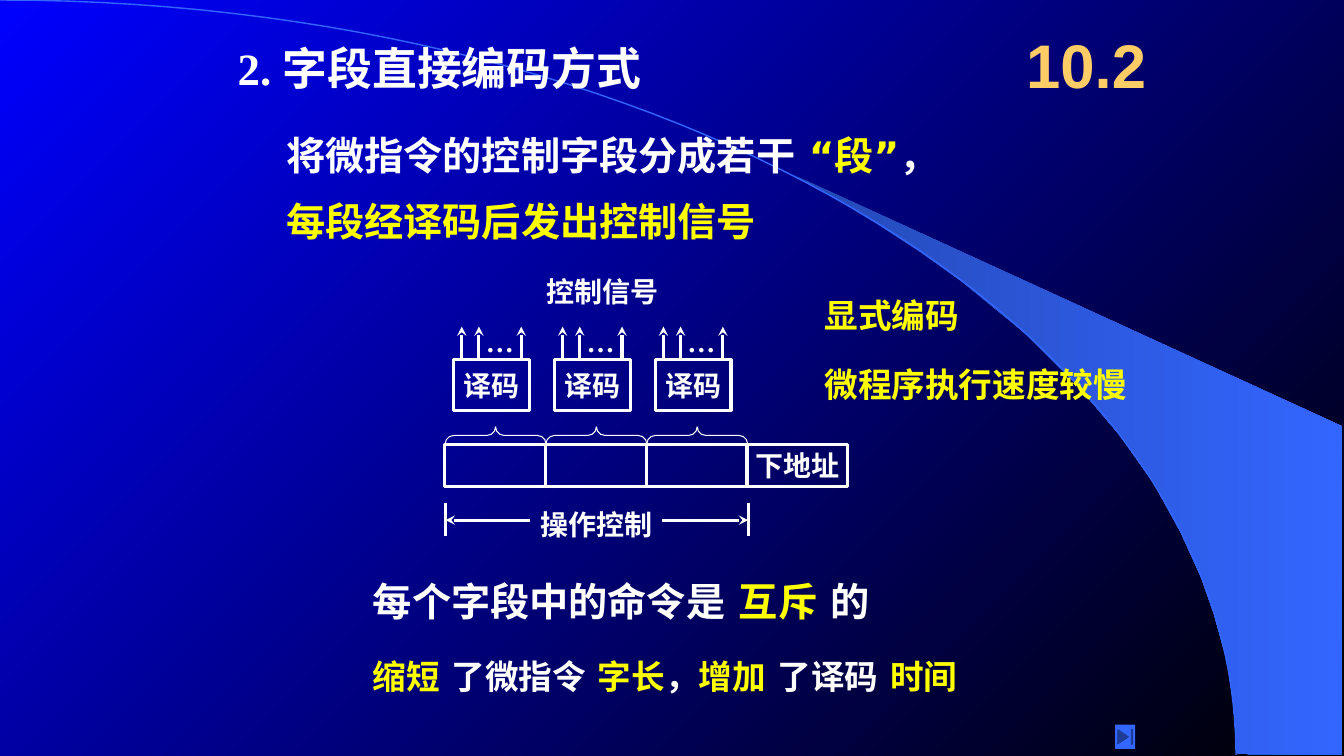
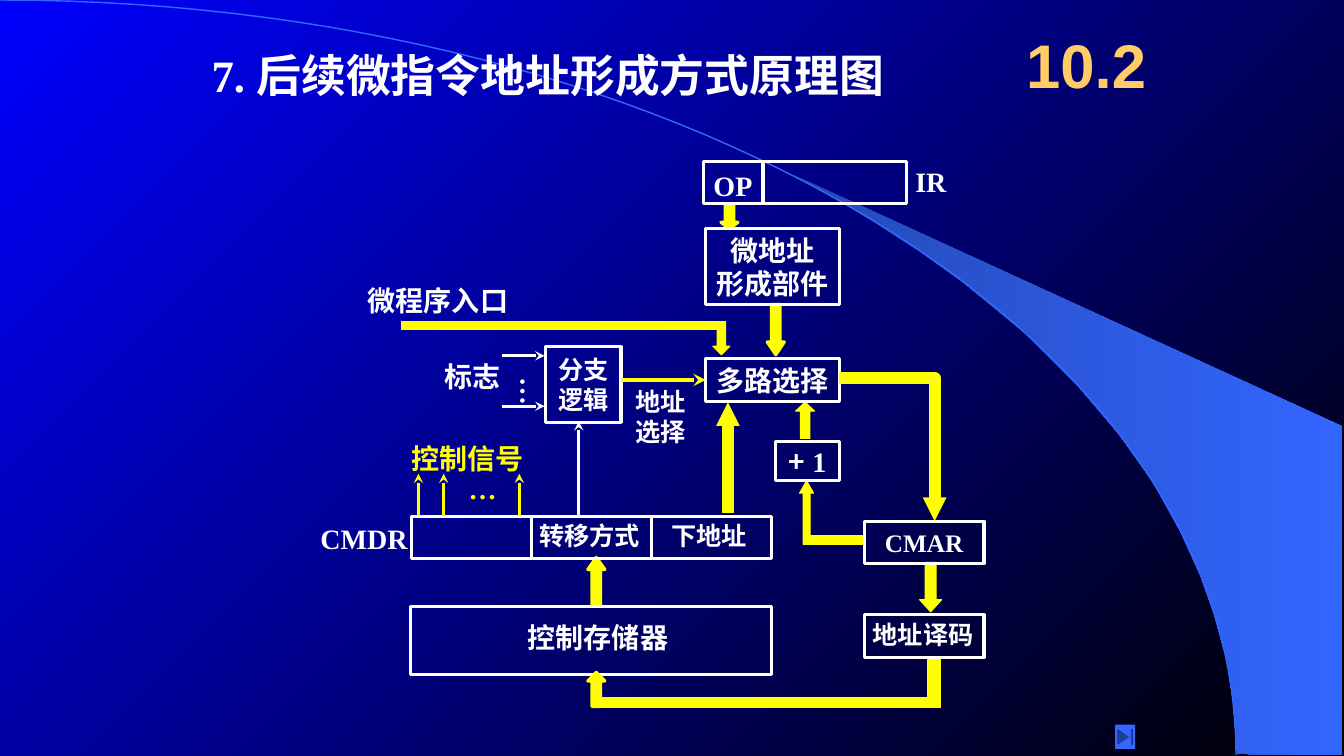
from lxml import etree
from pptx import Presentation
from pptx.dml.color import RGBColor
from pptx.enum.shapes import MSO_CONNECTOR, MSO_SHAPE
from pptx.enum.text import MSO_ANCHOR, PP_ALIGN
from pptx.oxml.ns import qn
from pptx.util import Inches, Pt

RECT = MSO_SHAPE.RECTANGLE
UP = MSO_SHAPE.UP_ARROW
DOWN = MSO_SHAPE.DOWN_ARROW
BRACE = MSO_SHAPE.LEFT_BRACE
BUTTON = MSO_SHAPE.ACTION_BUTTON_END
STRAIGHT = MSO_CONNECTOR.STRAIGHT
MIDDLE, TOP = MSO_ANCHOR.MIDDLE, MSO_ANCHOR.TOP
CENTER, LEFT = PP_ALIGN.CENTER, PP_ALIGN.LEFT

WHITE, YELLOW, GOLD = "FFFFFF", "FFFF00", "FFCC66"
BLUE, DEEP, NAVY, BLACK = "3366FF", "2449B6", "0000FF", "000000"
SERIF, SANS, WIDE, CJK = "Times New Roman", "Arial", "DejaVu Sans", "Noto Sans CJK SC"
INSET = (0.1, 0.05, 0.1, 0.05)
SWEEP = [
    (12.27, 7.48), (13.31, 7.49), (13.31, 4.23), (7.86, 1.73), (8.32, 1.99),
    (8.7, 2.22), (9.13, 2.5), (9.55, 2.8), (10.16, 3.3), (10.7, 3.84),
    (11.1, 4.31), (11.44, 4.79), (11.71, 5.28), (11.91, 5.72),
    (12.04, 6.09), (12.17, 6.56), (12.23, 6.96),
]


def color(code):
    return RGBColor.from_string(code)


def blend(fill, first, last, angle):
    fill.gradient()
    fill.gradient_angle = angle
    for stop, code in zip(fill.gradient_stops, (first, last)):
        stop.color.rgb = color(code)


def curve(steps=60):
    points = []
    for step in range(steps + 1):
        t = step / steps
        u = 1 - t
        x = 3 * u * u * t * 6.77 + 3 * u * t * t * 12.26 + t ** 3 * 12.26
        y = 3 * u * t * t * 3.35 + t ** 3 * 7.49
        points.append((x, y))
    return points


def write(frame, paras, size=20, font=SERIF, ink=WHITE, align=LEFT,
          anchor=TOP, inset=INSET, wrap=True, gap=0):
    frame.word_wrap = wrap
    frame.vertical_anchor = anchor
    (frame.margin_left, frame.margin_top,
     frame.margin_right, frame.margin_bottom) = map(Inches, inset)
    for index, runs in enumerate(paras):
        para = frame.add_paragraph() if index else frame.paragraphs[0]
        para.alignment = align
        if index and gap:
            para.space_before = Pt(gap)
        for item in [runs] if isinstance(runs, str) else runs:
            words, style = (item, {}) if isinstance(item, str) else item
            run = para.add_run()
            run.text = words
            run.font.size = Pt(size)
            run.font.bold = True
            run.font.name = style.get("font", font)
            run.font.color.rgb = color(style.get("ink", ink))
            east = etree.SubElement(run._r.get_or_add_rPr(), qn("a:ea"))
            east.set("typeface", WIDE)


class Deck:
    def __init__(self):
        self.show = Presentation()
        self.show.slide_width = Inches(13.33)
        self.show.slide_height = Inches(7.5)
        blend(self.show.slide_master.background.fill, NAVY, BLACK, 315)
        self.slide = None

    def page(self, title, x, y):
        self.slide = self.show.slides.add_slide(self.show.slide_layouts[6])
        wing = self.trace(SWEEP, close=True)
        blend(wing.fill, DEEP, BLUE, 0)
        self.trace(curve(), line=BLUE, width=1)
        self.label(x, y, 7.8, 0.63, [title], size=32, font=WIDE)
        self.label(10.08, 0.17, 1.58, 0.92, ["10.2"], size=44, font=SANS,
                   ink=GOLD, anchor=MIDDLE)
        self.shape(BUTTON, 11.06, 7.19, 0.2, 0.24, fill=BLUE)

    def paint(self, shape, fill, line, width):
        shape.shadow.inherit = False
        if fill:
            shape.fill.solid()
            shape.fill.fore_color.rgb = color(fill)
        else:
            shape.fill.background()
        if line:
            shape.line.color.rgb = color(line)
            shape.line.width = Pt(width)
        else:
            shape.line.fill.background()
        return shape

    def shape(self, kind, x, y, w, h, fill=None, line=None, width=2.25, adj=()):
        item = self.slide.shapes.add_shape(kind, *map(Inches, (x, y, w, h)))
        for index, value in enumerate(adj):
            item.adjustments[index] = value
        return self.paint(item, fill, line, width)

    def box(self, x, y, w, h, paras=(), **style):
        item = self.shape(RECT, x, y, w, h, line=WHITE)
        style = {"align": CENTER, "anchor": MIDDLE, "wrap": False, **style}
        write(item.text_frame, paras, **style)
        return item

    def bar(self, x, y, w, h):
        self.shape(RECT, x, y, w, h, YELLOW, YELLOW, 0.75)

    def block(self, kind, x, y, w, h, head, width=0.75):
        self.shape(kind, x, y, w, h, YELLOW, YELLOW, width, (0.5, head))

    def label(self, x, y, w, h, paras, **style):
        item = self.slide.shapes.add_textbox(*map(Inches, (x, y, w, h)))
        write(item.text_frame, paras, **style)
        return item

    def tip(self, item, head, size):
        end = etree.SubElement(item.line._get_or_add_ln(), qn("a:tailEnd"))
        for key, value in (("type", head), ("w", size), ("len", size)):
            end.set(key, value)

    def line(self, x1, y1, x2, y2, ink=WHITE, width=2.25,
             head="stealth", size="med"):
        item = self.slide.shapes.add_connector(
            STRAIGHT, *map(Inches, (x1, y1, x2, y2)))
        item.line.color.rgb = color(ink)
        item.line.width = Pt(width)
        if head:
            self.tip(item, head, size)
        etree.SubElement(item._element.spPr, qn("a:effectLst"))
        return item

    def trace(self, points, close=False, line=None, width=1):
        spots = [(Inches(x), Inches(y)) for x, y in points]
        pen = self.slide.shapes.build_freeform(*spots[0])
        pen.add_line_segments(spots[1:], close=close)
        return self.paint(pen.convert_to_shape(), None, line, width)


def fields(deck):
    hot = {"ink": YELLOW}
    plain = {"ink": WHITE}
    quote = {"ink": YELLOW, "font": SANS}
    deck.page([("2. ", {"font": SERIF}), "字段直接编码方式"], 2.26, 0.36)
    deck.label(2.74, 1.25, 8.35, 1.27, [
        ["将微指令的控制字段分成若干 ", ("“", quote), ("段", hot),
         ("”", quote), "，"],
        [("每段经译码后发出控制信号", hot)],
    ], size=28, font=WIDE, gap=14)
    deck.label(3.6, 5.68, 5.75, 0.57, [
        ["每个字段中的命令是 ", ("互斥 ", hot), "的"],
    ], size=28, font=WIDE)
    deck.label(3.6, 6.46, 6.2, 0.5, [
        ["缩短 ", ("了微指令 ", plain), "字长", ("，", plain),
         "增加 ", ("了译码 ", plain), "时间"],
    ], size=24, ink=YELLOW)
    for y, words in ((2.88, "显式编码"), (3.56, "微程序执行速度较慢")):
        deck.label(8.08, y, 3.4, 0.5, [words], size=24, ink=YELLOW)

    for left in (4.41, 5.41, 6.41):
        deck.box(left + 0.09, 3.57, 0.75, 0.5, ["译码"])
        for step in (0.17, 0.34, 0.76):
            deck.line(left + step, 3.57, left + step, 3.24)
        deck.label(left + 0.31, 3.17, 0.48, 0.43, ["…"])
        deck.box(left, 4.41, 1, 0.42)
        brace = deck.shape(BRACE, left + 0.42, 3.82, 0.17, 1,
                           line=WHITE, width=0.75, adj=(0.5, 0.5))
        brace.rotation = 90
    deck.box(7.41, 4.41, 1, 0.42, ["下地址"])

    for start, end in ((5.26, 4.42), (6.57, 7.42)):
        deck.line(end, 4.99, end, 5.32, head=None)
        deck.line(start, 5.16, end, 5.16)
    deck.label(5.26, 4.99, 1.4, 0.43, ["操作控制"])
    deck.label(5.32, 2.67, 1.4, 0.43, ["控制信号"])


def address(deck):
    deck.page([("7. ", {"font": SERIF}), "后续微指令地址形成方式原理图"], 2, 0.42)
    for arrow in (
        (DOWN, 9.12, 5.58, 0.22, 0.49, 0.55),
        (UP, 5.83, 5.53, 0.17, 0.47, 0.71, 2.25),
        (DOWN, 7.61, 3.02, 0.17, 0.5, 0.75, 2.25),
        (DOWN, 7.15, 2.02, 0.17, 0.25, 0.38, 2.25),
        (DOWN, 7.07, 3.19, 0.17, 0.33, 0.5),
        (UP, 7.89, 3.99, 0.19, 0.36, 0.47),
        (UP, 7.93, 4.77, 0.14, 0.63, 0.88),
    ):
        deck.block(*arrow)
    for bar in ((3.98, 3.19, 3.17, 0.08), (9.2, 6.52, 0.13, 0.5),
                (8, 5.31, 0.57, 0.09), (5.9, 6.92, 3.35, 0.1)):
        deck.bar(*bar)

    deck.box(6.98, 1.6, 0.58, 0.42, ["OP"], inset=(0.1, 0.08, 0.1, 0.02))
    deck.box(7.57, 1.6, 1.42, 0.42)
    deck.box(7, 2.27, 1.33, 0.75, ["微地址", "形成部件"])
    mux = deck.box(7, 3.56, 1.33, 0.42, ["多路选择"])
    deck.box(5.41, 3.44, 0.75, 0.75, ["分支", "逻辑"], size=18)
    deck.box(7.69, 4.38, 0.64, 0.39, [[("+", {"font": CJK}), " 1"]])
    deck.box(8.57, 5.17, 1.19, 0.42, ["CMAR"], size=18)
    deck.box(8.57, 6.1, 1.19, 0.42, ["地址译码"], size=18,
             inset=(0.08, 0.02, 0.1, 0.05))
    for index, words in enumerate(([], ["转移方式"], ["下地址"])):
        deck.box(4.08 + 1.19 * index, 5.12, 1.19, 0.42, words, size=18,
                 inset=(0.06, 0.01, 0.1, 0.05))
    deck.box(4.07, 6.02, 3.58, 0.67, ["控制存储器"],
             inset=(0.24, 0.02, 0.1, 0.09))
    deck.block(UP, 5.83, 6.67, 0.17, 0.34, 0.51, 2.25)

    for x, y, w, words, style in (
        (8.98, 1.58, 0.6, "IR", {}),
        (3.55, 2.76, 1.7, "微程序入口", {}),
        (4.31, 3.52, 0.9, "标志", {}),
        (3.08, 5.12, 1.07, "CMDR", {}),
        (3.98, 4.33, 1.4, "控制信号", {"ink": YELLOW}),
        (4.55, 4.63, 0.48, "…", {"ink": YELLOW}),
    ):
        deck.label(x, y, w, 0.43, [words], **style)
    deck.label(6.2, 3.78, 0.8, 0.7, ["地址", "选择"], size=18)
    dots = deck.label(4.95, 3.65, 0.54, 0.38, ["…"])
    dots.text_frame._txBody.bodyPr.set("vert", "eaVert")

    for x in (4.15, 4.4, 5.15):
        deck.line(x, 5.12, x, 4.7, YELLOW)
    for y in (3.53, 4.03):
        deck.line(4.98, y, 5.4, y)
    deck.line(5.74, 5.11, 5.74, 4.18)
    choice = deck.line(6.16, 3.77, 7, 3.77, YELLOW, 3)
    choice.end_connect(mux, 1)
    deck.line(7.22, 5.09, 7.22, 3.99, YELLOW, 8.5, "triangle", "sm")
    elbow = deck.trace([(8.32, 3.75), (9.27, 3.75), (9.27, 5.17)],
                       line=YELLOW, width=8.5)
    deck.tip(elbow, "triangle", "sm")


def main():
    deck = Deck()
    fields(deck)
    address(deck)
    deck.show.save("out.pptx")


if __name__ == "__main__":
    main()
